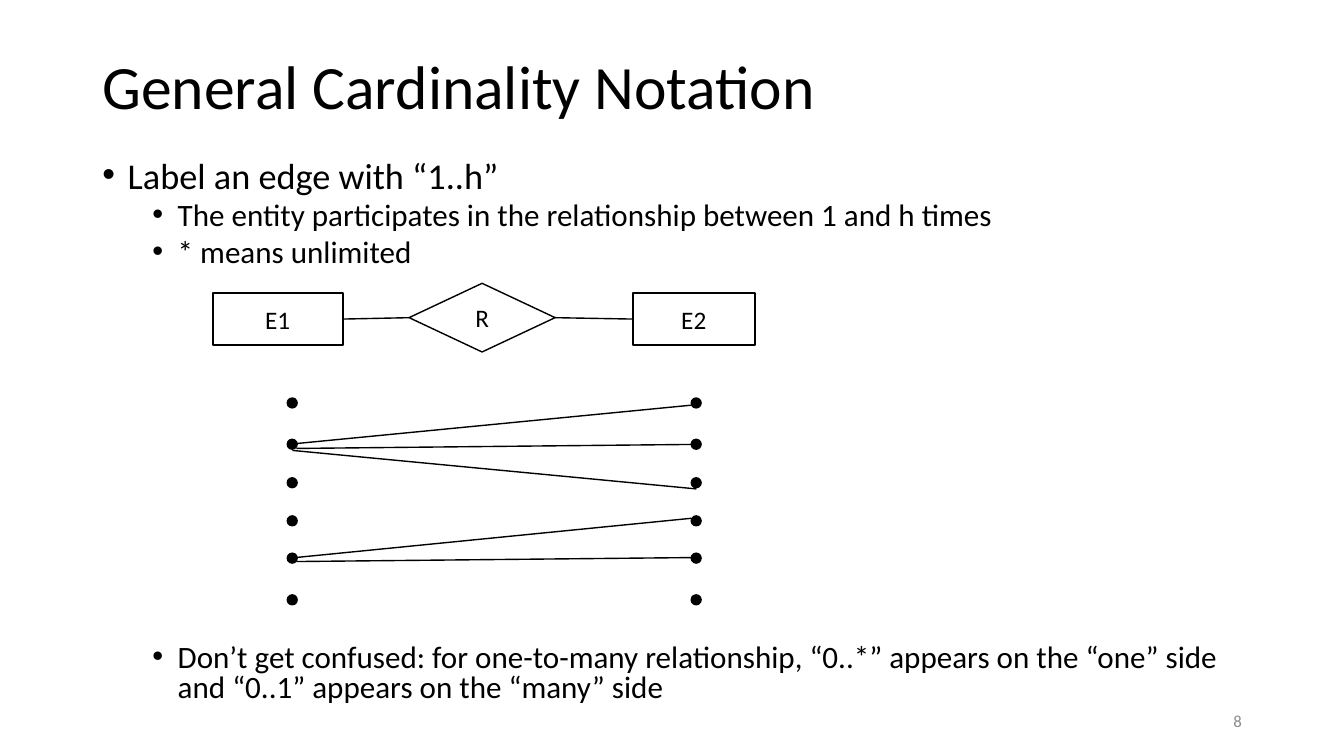
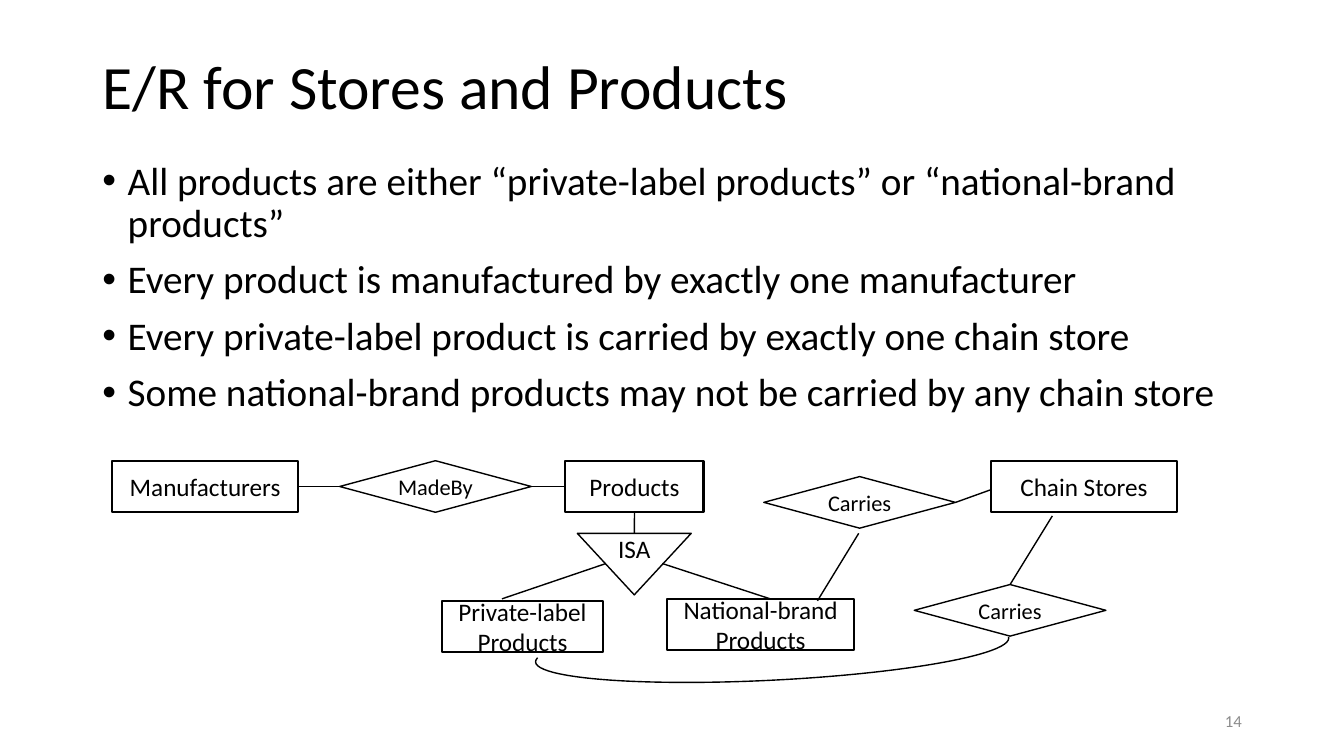
from lxml import etree
from pptx import Presentation
from pptx.dml.color import RGBColor
from pptx.enum.shapes import MSO_CONNECTOR, MSO_SHAPE as SHAPE
from pptx.enum.text import MSO_ANCHOR as ANCHOR, MSO_AUTO_SIZE, PP_ALIGN as ALIGN
from pptx.oxml.ns import qn
from pptx.util import Cm, Pt

FONT = "Calibri"
COLORS = {"ink": "000000", "paper": "FFFFFF", "muted": "8C8C8C"}
INK = RGBColor.from_string(COLORS["ink"])
PAPER = RGBColor.from_string(COLORS["paper"])
TOP, LEFT, BOTTOM, RIGHT = range(4)  # connection sites
BOX, DIAMOND = SHAPE.RECTANGLE, SHAPE.DIAMOND


def write(tf, text, size=18, color="ink", align=ALIGN.LEFT, spacing=1.0,
          before=0, bullet_indent=None):
    """Add a formatted paragraph, using the empty first one if there is one."""
    p = tf.paragraphs[0] if not tf.text else tf.add_paragraph()
    p.alignment = align
    p.line_spacing = spacing
    p.space_before = Pt(before)
    if bullet_indent is not None:
        pPr = p._p.get_or_add_pPr()
        pPr.set("marL", str(Cm(bullet_indent)))
        pPr.set("indent", str(-Cm(0.64)))
        etree.SubElement(pPr, qn("a:buFont")).set("typeface", "Arial")
        etree.SubElement(pPr, qn("a:buChar")).set("char", "•")
    r = p.add_run()
    r.text = text
    r.font.name = FONT
    r.font.size = Pt(size)
    r.font.color.rgb = RGBColor.from_string(COLORS[color])


def connect(s, nodes, start, end):
    """Draw a line; each end is (node name, site) or a point (x, y) in cm."""
    points = [(0, 0) if isinstance(e[0], str) else e for e in (start, end)]
    line = s.shapes.add_connector(
        MSO_CONNECTOR.STRAIGHT, *[Cm(v) for point in points for v in point])
    if isinstance(start[0], str):
        line.begin_connect(nodes[start[0]], start[1])
    if isinstance(end[0], str):
        line.end_connect(nodes[end[0]], end[1])
    line.line.color.rgb = INK
    line.line.width = Pt(1)
    etree.SubElement(line._element.spPr, qn("a:effectLst"))


# Bullets: text, size, line spacing, space before, indent
# Nodes: name, label, shape, text size, left, top, width, height
slides = [
    {
        "title": "General Cardinality Notation",
        "number": "8",
        "bullets": [
            ("Label an edge with “1..h”", 25.9, 0.8, 10, 0.64),
            ("The entity participates in the relationship between 1 and h times",
             22.2, 0.8, 5, 1.9),
            ("* means unlimited", 22.2, 0.8, 5, 1.9),
            ("Don’t get confused: for one-to-many relationship, “0..*” appears "
             "on the “one” side and “0..1” appears on the “many” side",
             22.2, 0.8, 268, 1.9),
        ],
        "nodes": [
            ("E1", "E1", BOX, 18, 5.36, 7.39, 3.28, 1.3),
            ("E2", "E2", BOX, 18, 15.95, 7.39, 3.07, 1.3),
            ("R", "R", DIAMOND, 18, 10.31, 7.14, 3.68, 1.73),
        ],
        "links": [
            (("E1", RIGHT), ("R", LEFT)),
            (("R", RIGHT), ("E2", LEFT)),
            ((7.24, 11.2), (17.42, 10.21)),
            ((7.47, 11.3), (17.42, 11.2)),
            ((7.37, 11.35), (17.55, 12.32)),
            ((7.24, 14.07), (17.42, 13.06)),
            ((7.47, 14.15), (17.42, 14.05)),
        ],
        "dot_columns": [7.24, 17.42],
        "dot_rows": [10.03, 11.07, 12.04, 13.0, 13.94, 14.99],
        "arcs": [],
    },
    {
        "title": "E/R for Stores and Products",
        "number": "14",
        "bullets": [(text, 28, 0.9, 10, 0.64) for text in (
            "All products are either “private-label products” or "
            "“national-brand products”",
            "Every product is manufactured by exactly one manufacturer",
            "Every private-label product is carried by exactly one chain store",
            "Some national-brand products may not be carried by any chain store",
        )],
        "nodes": [
            ("products", "Products", BOX, 18, 14.25, 11.61, 3.48, 1.3),
            ("national", "National-brand Products", BOX, 18, 16.81, 15.09, 4.72, 1.3),
            ("private", "Private-label Products", BOX, 18, 11.15, 15.14, 4.04, 1.3),
            ("isa", "ISA", SHAPE.FLOWCHART_MERGE, 18, 14.55, 13.44, 2.87, 1.55),
            ("makers", "Manufacturers", BOX, 18, 2.82, 11.61, 4.7, 1.3),
            ("stores", "Chain Stores", BOX, 18, 24.97, 11.61, 4.7, 1.3),
            ("made by", "MadeBy", DIAMOND, 16, 8.56, 11.61, 4.83, 1.3),
            ("carries national", "Carries", DIAMOND, 16, 19.25, 12.01, 4.83, 1.3),
            ("carries private", "Carries", DIAMOND, 16, 23.04, 14.73, 4.83, 1.3),
        ],
        "links": [
            (("makers", RIGHT), ("made by", LEFT)),
            (("made by", RIGHT), ("products", LEFT)),
            (("products", BOTTOM), ("isa", TOP)),
            ((15.27, 14.2), (12.65, 15.09)),
            ((16.69, 14.2), (19.41, 15.09)),
            ((20.6, 15.14), (21.64, 13.44)),
            (("carries national", RIGHT), (24.97, 12.34)),
            (("carries private", TOP), (26.52, 13.0)),
        ],
        "dot_columns": [],
        "dot_rows": [],
        "arcs": [(13.49, 15.62, 11.94, 1.52)],
    },
]

prs = Presentation()
prs.slide_width, prs.slide_height = Cm(33.87), Cm(19.05)

for data in slides:
    s = prs.slides.add_slide(prs.slide_layouts[5])

    # Title
    title = s.shapes.title
    title.left, title.top, title.width, title.height = (
        Cm(2.33), Cm(1.02), Cm(29.21), Cm(2.46))
    tf = title.text_frame
    tf.auto_size = MSO_AUTO_SIZE.NONE
    tf.vertical_anchor = ANCHOR.MIDDLE
    write(tf, data["title"], size=44, spacing=0.9)

    # Bullets
    tf = s.shapes.add_textbox(Cm(2.33), Cm(3.94), Cm(29.21), Cm(14)).text_frame
    tf.word_wrap = True
    for text, size, spacing, before, indent in data["bullets"]:
        write(tf, text, size=size, spacing=spacing, before=before,
              bullet_indent=indent)

    # Entities and relationships
    nodes = {}
    for name, label, kind, size, *frame in data["nodes"]:
        sp = s.shapes.add_shape(kind, *[Cm(v) for v in frame])
        sp.shadow.inherit = False
        sp.fill.solid()
        sp.fill.fore_color.rgb = PAPER
        sp.line.color.rgb = INK
        sp.line.width = Pt(1.5 if kind == BOX else 1)
        tf = sp.text_frame
        tf.word_wrap = True
        tf.margin_left = tf.margin_right = 0
        tf.vertical_anchor = ANCHOR.MIDDLE
        write(tf, label, size=size, align=ALIGN.CENTER)
        nodes[name] = sp

    # Instances
    for x in data["dot_columns"]:
        for y in data["dot_rows"]:
            dot = s.shapes.add_shape(SHAPE.OVAL, Cm(x), Cm(y), Cm(0.25), Cm(0.25))
            dot.shadow.inherit = False
            dot.fill.solid()
            dot.fill.fore_color.rgb = INK
            dot.line.color.rgb = INK
            dot.line.width = Pt(1)

    # Links
    for start, end in data["links"]:
        connect(s, nodes, start, end)

    # Curved links: the lower half of an ellipse
    for frame in data["arcs"]:
        arc = s.shapes.add_shape(SHAPE.ARC, *[Cm(v) for v in frame])
        arc.shadow.inherit = False
        arc.fill.background()
        arc.line.color.rgb = INK
        arc.line.width = Pt(1)
        arc.rotation = 357.1
        arc.adjustments[0] = 107.39
        arc.adjustments[1] = 0.15
        arc._element.spPr.get_or_add_xfrm().set("flipV", "1")

    # Slide number
    tf = s.shapes.add_textbox(Cm(23.93), Cm(17.65), Cm(7.62), Cm(1.02)).text_frame
    tf.word_wrap = True
    tf.vertical_anchor = ANCHOR.MIDDLE
    write(tf, data["number"], size=12, color="muted", align=ALIGN.RIGHT)

prs.save("out.pptx")
